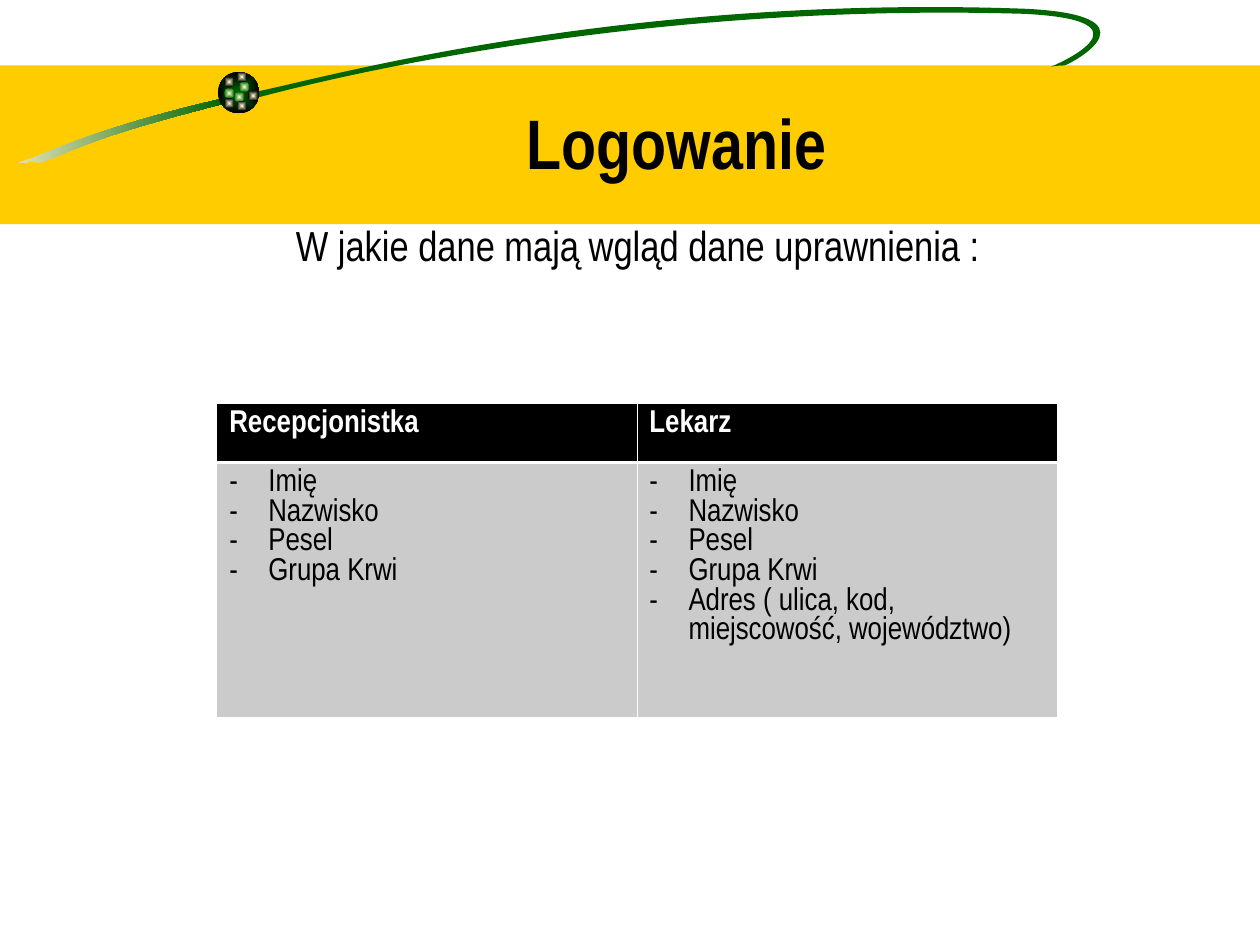
from lxml import etree
from pptx import Presentation
from pptx.dml.color import RGBColor
from pptx.enum import shapes as kinds, text
from pptx.oxml import parse_xml
from pptx.oxml.ns import nsdecls, qn
from pptx.util import Inches, Pt

BLACK = RGBColor(0x00, 0x00, 0x00)
WHITE = RGBColor(0xFF, 0xFF, 0xFF)
GOLD = RGBColor(0xFF, 0xCC, 0x00)
GREEN = RGBColor(0x00, 0x66, 0x00)
CREAM = RGBColor(0xF5, 0xEB, 0xC1)
PALE = RGBColor(0xFF, 0xFF, 0xCC)
GREY = RGBColor(0xCB, 0xCB, 0xCB)
FONT = "Arial Narrow"


def paint(shape, first, last=None, glow=False):
    """Fill plainly, or from first to last; glow runs from the centre out."""
    shape.shadow.inherit = False
    shape.line.fill.background()
    if last is None:
        shape.fill.solid()
        shape.fill.fore_color.rgb = first
        return
    shape.fill.gradient()
    shape.fill.gradient_angle = 0
    for stop, color, place in zip(shape.fill.gradient_stops, (first, last), (0, 1)):
        stop.color.rgb = color
        stop.position = place
    if glow:
        lin = next(shape._element.iter(qn("a:lin")))
        lin.getparent().replace(lin, parse_xml(
            f'<a:path {nsdecls("a")} path="rect"><a:fillToRect l="50000" '
            't="50000" r="50000" b="50000"/></a:path>'))


def write(par, words, size, color, bold=False):
    run = par.add_run()
    run.text = words
    run.font.name = FONT
    run.font.size = Pt(size)
    run.font.bold = bold
    run.font.color.rgb = color


deck = Presentation()
deck.slide_width, deck.slide_height = Inches(10), Inches(7.5)
slide = deck.slides.add_slide(deck.slide_layouts[1])
items = slide.shapes
title, body = items.title, slide.placeholders[1]

# Gold band
band = items.add_shape(kinds.MSO_SHAPE.RECTANGLE, 0, Inches(0.52), Inches(10), Inches(1.26))
paint(band, GOLD)

# Swoosh: after its start, each row holds two handles and the end of a curve
tail = ((1.78, 0.78), [
    ((0.91, 0.98), (0.49, 1.16), (0.25, 1.26)),
    ((0.01, 1.34), (0.26, 1.26), (0.31, 1.29)),
    ((0.57, 1.22), (0.57, 1.13), (1.79, 0.82))], (CREAM, GREEN))
loop = ((2.02, 0.73), [
    ((2.46, 0.65), (4.86, -0.05), (8.14, 0.07)),
    ((9.17, 0.12), (8.57, 0.47), (8.45, 0.52)),
    ((8.45, 0.52), (8.38, 0.52), (8.34, 0.53)),
    ((8.44, 0.49), (9.16, 0.16), (8.13, 0.11)),
    ((5.48, 0.03), (3.2, 0.47), (2.06, 0.77))], (GREEN,))
for (x, y), curves, colors in (tail, loop):
    pen = items.build_freeform(Inches(x), Inches(y))
    pen.add_line_segments(
        [(Inches(a), Inches(b)) for curve in curves for a, b in curve], close=True)
    shape = pen.convert_to_shape()
    # Every three straight steps become one Bezier curve
    steps = list(shape._element.iter(qn("a:lnTo")))
    for i in range(0, len(curves) * 3, 3):
        bend = etree.Element(qn("a:cubicBezTo"))
        steps[i].addprevious(bend)
        for step in steps[i:i + 3]:
            bend.append(step[0])
            step.getparent().remove(step)
    paint(shape, *colors)

# Ball with its lights
balls = [(1.73, 0.57, 0.33, GREEN, BLACK)]
balls += [(x, y, 0.08, PALE, rim) for x, y, rim in (
    (1.9, 0.65, GREEN), (1.78, 0.61, BLACK), (1.78, 0.7, GREEN),
    (1.86, 0.73, GREEN), (1.97, 0.72, BLACK), (1.88, 0.8, BLACK),
    (1.78, 0.78, BLACK), (1.88, 0.57, BLACK))]
for x, y, size, core, rim in balls:
    ball = items.add_shape(kinds.MSO_SHAPE.OVAL, Inches(x), Inches(y), Inches(size), Inches(size))
    paint(ball, core, rim, glow=True)

# Half-clear side panel
panel = items.add_shape(
    kinds.MSO_SHAPE.RECTANGLE, Inches(0.74), Inches(2.06), Inches(1.22), Inches(5.44))
paint(panel, WHITE)
tint = next(panel._element.spPr.iter(qn("a:srgbClr")))
etree.SubElement(tint, qn("a:alpha"), val="50000")

# Title and lead, raised above the band
for holder, box, anchor in (
        (title, (0.98, 0.5, 8.78, 1.25), text.MSO_ANCHOR.MIDDLE),
        (body, (0.39, 1.77, 9.34, 5.5), text.MSO_ANCHOR.TOP)):
    holder.left, holder.top, holder.width, holder.height = map(Inches, box)
    frame = holder.text_frame
    frame.word_wrap = True
    frame.auto_size = text.MSO_AUTO_SIZE.NONE
    frame.vertical_anchor = anchor
    frame.paragraphs[0].alignment = text.PP_ALIGN.CENTER
    items._spTree.append(holder._element)

write(title.text_frame.paragraphs[0], "Logowanie", 40, BLACK, True)
lead = body.text_frame.paragraphs[0]
lead.line_spacing = 0.8
lead.space_before = Pt(6)
props = lead._p.get_or_add_pPr()
props.set("marL", "0")
props.set("indent", "0")
etree.SubElement(props, qn("a:buNone"))
write(lead, "W jakie dane mają wgląd dane uprawnienia :", 24, BLACK)

# Table of rights
grid = items.add_table(2, 2, Inches(1.72), Inches(3.2), Inches(6.67), Inches(2.49)).table
grid.rows[0].height, grid.rows[1].height = Inches(0.47), Inches(2.02)
shared = ["Imię", "Nazwisko", "Pesel", "Grupa Krwi"]
rights = {
    "Recepcjonistka": shared,
    "Lekarz": shared + ["-\tAdres ( ulica, kod, miejscowość, województwo)"],
}
for col, (role, fields) in enumerate(rights.items()):
    head, cell = grid.cell(0, col), grid.cell(1, col)
    write(head.text_frame.paragraphs[0], role, 18, WHITE, True)
    for i, field in enumerate(fields):
        frame = cell.text_frame
        par = frame.add_paragraph() if i else frame.paragraphs[0]
        props = par._p.get_or_add_pPr()
        props.set("marL", str(Inches(0.31)))
        props.set("indent", str(-Inches(0.31)))
        if field in shared:
            tint = etree.SubElement(props, qn("a:buClr"))
            etree.SubElement(tint, qn("a:srgbClr"), val=str(BLACK))
            etree.SubElement(props, qn("a:buFont"), typeface=FONT)
            etree.SubElement(props, qn("a:buChar"), char="-")
        write(par, field, 18, BLACK)
    for box, color, thick in ((head, BLACK, "B"), (cell, GREY, "T")):
        box.fill.solid()
        box.fill.fore_color.rgb = color
        for i, side in enumerate("LRTB"):
            width = Pt(1.47 if side == thick else 0.45)
            box._tc.get_or_add_tcPr().insert(i, parse_xml(
                f'<a:ln{side} {nsdecls("a")} w="{width}"><a:solidFill>'
                f'<a:srgbClr val="{WHITE}"/></a:solidFill></a:ln{side}>'))

deck.save("out.pptx")
